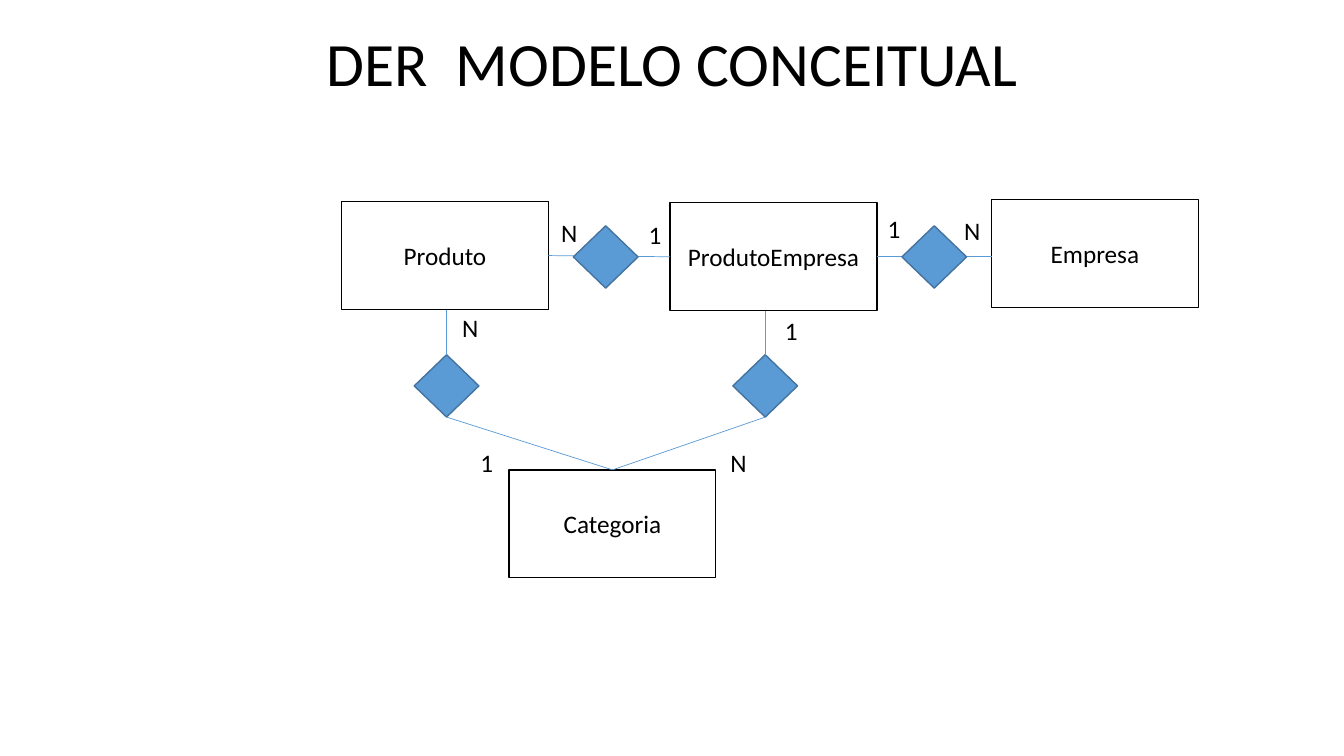
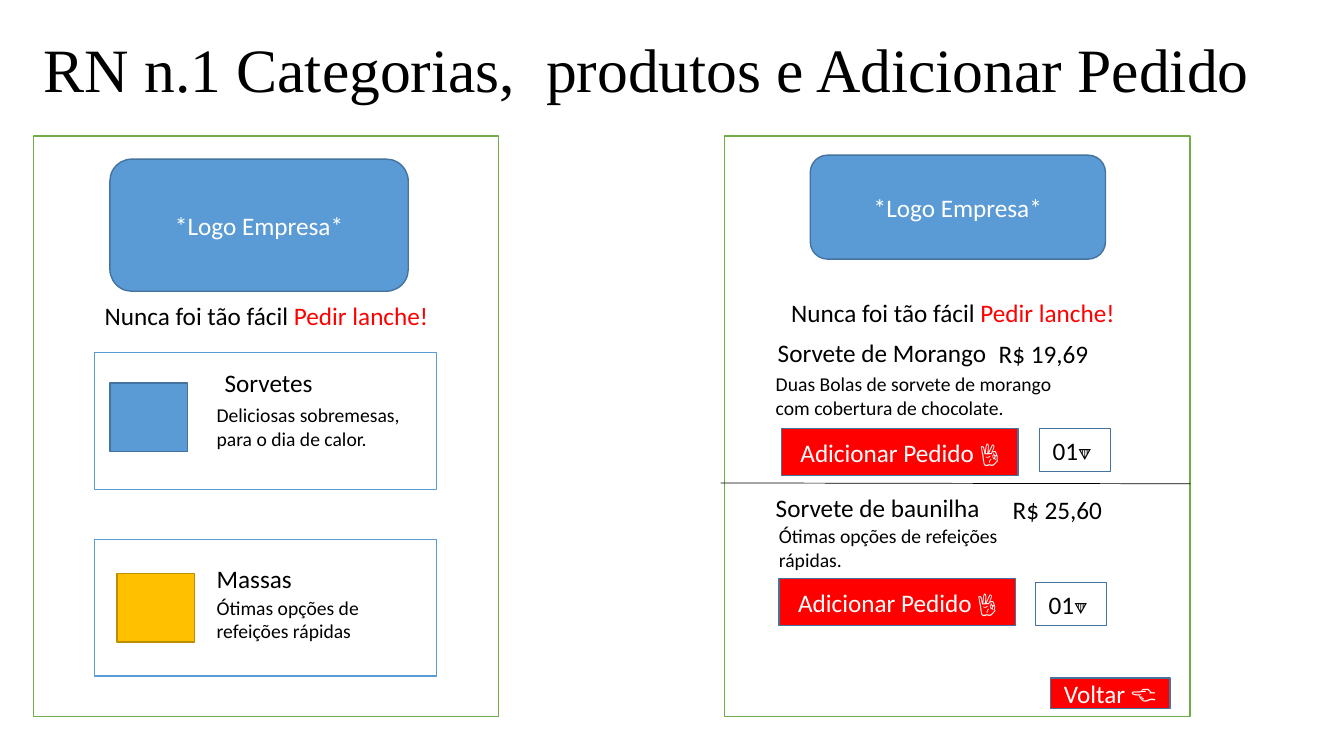
from dataclasses import dataclass

from lxml import etree
from pptx import Presentation
from pptx.dml.color import RGBColor
from pptx.enum.shapes import MSO_CONNECTOR as Connector, MSO_SHAPE as Preset
from pptx.enum.text import MSO_ANCHOR as Anchor, MSO_AUTO_SIZE as AutoSize, PP_ALIGN as Align
from pptx.oxml.ns import qn
from pptx.util import Cm, Pt


@dataclass(frozen=True)
class Theme:
    ink: str = "000000"
    paper: str = "FFFFFF"
    blue: str = "5B9BD5"
    blue_edge: str = "43739E"
    gold: str = "FFC000"
    gold_edge: str = "BD8E00"
    green: str = "70AD47"
    red: str = "FF0000"
    font: str = "Calibri"
    serif: str = "Times New Roman"
    title_size: int = 44
    body_size: int = 18
    detail_size: int = 14
    outline: float = 1
    hairline: float = 0.5


THEME = Theme()
TITLE_ONLY = 5
TOP, LEFT, BOTTOM, RIGHT = range(4)


def apply_format(target, formats):
    for attribute, value in formats.items():
        setattr(target, attribute, value)


def lengths(*values):
    return [Cm(value) for value in values]


def add_run(paragraph, text, color=THEME.ink, size=THEME.body_size, font=THEME.font):
    run = paragraph.add_run()
    run.text = text
    apply_format(run.font, {"name": font, "size": Pt(size)})
    run.font.color.rgb = RGBColor.from_string(color)


def add_title_slide(deck, text, place, font=THEME.font, anchor=Anchor.TOP, spacing=1.0):
    slide = deck.slides.add_slide(deck.slide_layouts[TITLE_ONLY])
    title = slide.shapes.title
    apply_format(title, dict(zip(("left", "top", "width", "height"), lengths(*place))))
    apply_format(title.text_frame, {
        "auto_size": AutoSize.NONE, "word_wrap": True, "vertical_anchor": anchor,
    })
    paragraph = title.text_frame.paragraphs[0]
    apply_format(paragraph, {"alignment": Align.LEFT, "line_spacing": spacing})
    add_run(paragraph, text, size=THEME.title_size, font=font)
    return slide


def add_block(slide, place, fill, edge, text="", color=THEME.ink, preset=Preset.RECTANGLE):
    block = slide.shapes.add_shape(preset, *lengths(*place))
    block.shadow.inherit = False
    block.fill.solid()
    block.fill.fore_color.rgb = RGBColor.from_string(fill)
    block.line.color.rgb = RGBColor.from_string(edge)
    block.line.width = Pt(THEME.outline)
    if text:
        apply_format(block.text_frame, {"word_wrap": True, "vertical_anchor": Anchor.MIDDLE})
        paragraph = block.text_frame.paragraphs[0]
        paragraph.alignment = Align.CENTER
        add_run(paragraph, text, color)
    return block


def add_text(slide, place, *runs, size=THEME.body_size, wrap=True):
    frame = slide.shapes.add_textbox(*lengths(*place)).text_frame
    apply_format(frame, {"word_wrap": wrap, "auto_size": AutoSize.SHAPE_TO_FIT_TEXT})
    for text, color in runs:
        add_run(frame.paragraphs[0], text, color, size)


def add_line(slide, start, end, color=THEME.blue):
    line = slide.shapes.add_connector(Connector.STRAIGHT, *lengths(*start, *end))
    line.line.color.rgb = RGBColor.from_string(color)
    line.line.width = Pt(THEME.hairline)
    etree.SubElement(line._element.spPr, qn("a:effectLst"))
    return line


def link(slide, origin, origin_side, target, target_side):
    line = add_line(slide, (0, 0), (0, 0))
    line.begin_connect(origin, origin_side)
    line.end_connect(target, target_side)


def add_entity(slide, name, left, top):
    return add_block(slide, (left, top, 5.21, 2.72), THEME.paper, THEME.ink, name)


def add_relationship(slide, left, top):
    return add_block(slide, (left, top, 1.63, 1.57), THEME.blue, THEME.blue_edge,
                     preset=Preset.DIAMOND)


def add_stem(slide, relationship, entity_bottom):
    center = (relationship.left + relationship.width / 2) / Cm(1)
    stem = add_line(slide, (center, entity_bottom), (center, entity_bottom))
    stem.end_connect(relationship, TOP)


def build_conceptual_model(deck):
    slide = add_title_slide(deck, "DER  MODELO CONCEITUAL ", (7.98, 0.51, 19.3, 2.13))
    product = add_entity(slide, "Produto", 8.61, 5.08)
    company = add_entity(slide, "Empresa", 24.99, 5.03)
    category = add_entity(slide, "Categoria", 12.83, 11.84)
    company_product = add_entity(slide, "ProdutoEmpresa", 16.89, 5.11)

    link(slide, product, RIGHT, company_product, LEFT)
    company_line = add_line(slide, (22.1, 6.47), (24.99, 6.47))
    company_line.begin_connect(company_product, RIGHT)
    for left in (14.45, 22.73):
        add_relationship(slide, left, 5.69)
    for left, entity in ((10.44, product), (18.47, company_product)):
        relationship = add_relationship(slide, left, 8.94)
        add_stem(slide, relationship, (entity.top + entity.height) / Cm(1))
        link(slide, category, TOP, relationship, BOTTOM)

    for cardinality, left, top in (
        ("N", 13.89, 5.36), ("1", 16.1, 5.41), ("1", 22.12, 5.26), ("N", 24.05, 5.31),
        ("N", 11.4, 7.75), ("1", 19.53, 7.82), ("1", 11.86, 11.15), ("N", 18.16, 11.15),
    ):
        add_text(slide, (left, top, 0.9, 1.02), (cardinality, THEME.ink), wrap=False)


def add_screen(slide, left, logo, slogan):
    add_block(slide, (left, 3.43, 11.73, 14.63), THEME.paper, THEME.green)
    add_block(slide, logo, THEME.blue, THEME.blue_edge, "*Logo Empresa*", THEME.paper,
              Preset.ROUNDED_RECTANGLE)
    add_text(slide, (*slogan, 8.89, 1.02), ("Nunca foi tão fácil ", THEME.ink),
             ("Pedir lanche!", THEME.red), wrap=False)


def add_category(slide, top, swatch, fill, edge, name, name_at, detail, detail_top):
    add_block(slide, (2.39, top, 8.61, 3.45), THEME.paper, THEME.blue)
    add_block(slide, (*swatch, 1.96, 1.73), fill, edge)
    add_text(slide, (*name_at, 2.97, 1.02), (name, THEME.ink))
    add_text(slide, (5.21, detail_top, 5.41, 1.45), (detail, THEME.ink),
             size=THEME.detail_size)


def add_button(slide, place, text):
    add_block(slide, place, THEME.red, THEME.blue_edge, text, THEME.paper)


def add_product(slide, name, name_at, price, price_at, detail, detail_at, button_at, amount_at):
    add_text(slide, (*name_at, 7.7, 1.02), (name, THEME.ink))
    add_text(slide, (*price_at, 2.84, 1.02), (price, THEME.ink))
    add_text(slide, (*detail_at, 7.65, 1.45), (detail, THEME.ink), size=THEME.detail_size)
    add_button(slide, (*button_at, 5.97, 1.19), "Adicionar Pedido 👌")
    add_block(slide, (*amount_at, 1.8, 1.09), THEME.paper, THEME.blue_edge, "01🔽 ")


def build_order_screens(deck):
    slide = add_title_slide(deck, "RN n.1 Categorias,  produtos e Adicionar Pedido",
                            (0.84, 0, 31.55, 3.68), THEME.serif, Anchor.MIDDLE, 0.9)
    add_screen(slide, 0.84, (2.77, 4.01, 7.52, 3.33), (2.39, 7.44))
    add_category(slide, 8.89, (2.77, 9.65), THEME.blue, THEME.blue_edge,
                 "Sorvetes", (5.41, 9.14),
                 "Deliciosas sobremesas, para o dia de calor.", 10.03)
    add_category(slide, 13.59, (2.95, 14.45), THEME.gold, THEME.gold_edge,
                 "Massas", (5.21, 14.07),
                 "Ótimas opções de refeições rápidas", 14.88)

    add_screen(slide, 18.26, (20.42, 3.91, 7.44, 2.62), (19.69, 7.37))
    add_product(slide, "Sorvete de Morango", (19.35, 8.38), "R$ 19,69", (24.92, 8.41),
                "Duas Bolas de sorvete de morango com cobertura de chocolate.",
                (19.3, 9.25), (19.69, 10.8), (26.19, 10.8))
    add_line(slide, (18.16, 12.17), (30, 12.19), THEME.ink)
    add_product(slide, "Sorvete de baunilha", (19.3, 12.27), "R$ 25,60", (25.27, 12.32),
                "Ótimas opções de refeições rápidas.",
                (19.38, 13.08), (19.63, 14.58), (26.09, 14.68))
    add_button(slide, (26.47, 17.09, 3.02, 0.76), "Voltar 👈")


def main():
    deck = Presentation()
    apply_format(deck, {"slide_width": Cm(33.87), "slide_height": Cm(19.05)})
    build_conceptual_model(deck)
    build_order_screens(deck)
    deck.save("out.pptx")


main()
